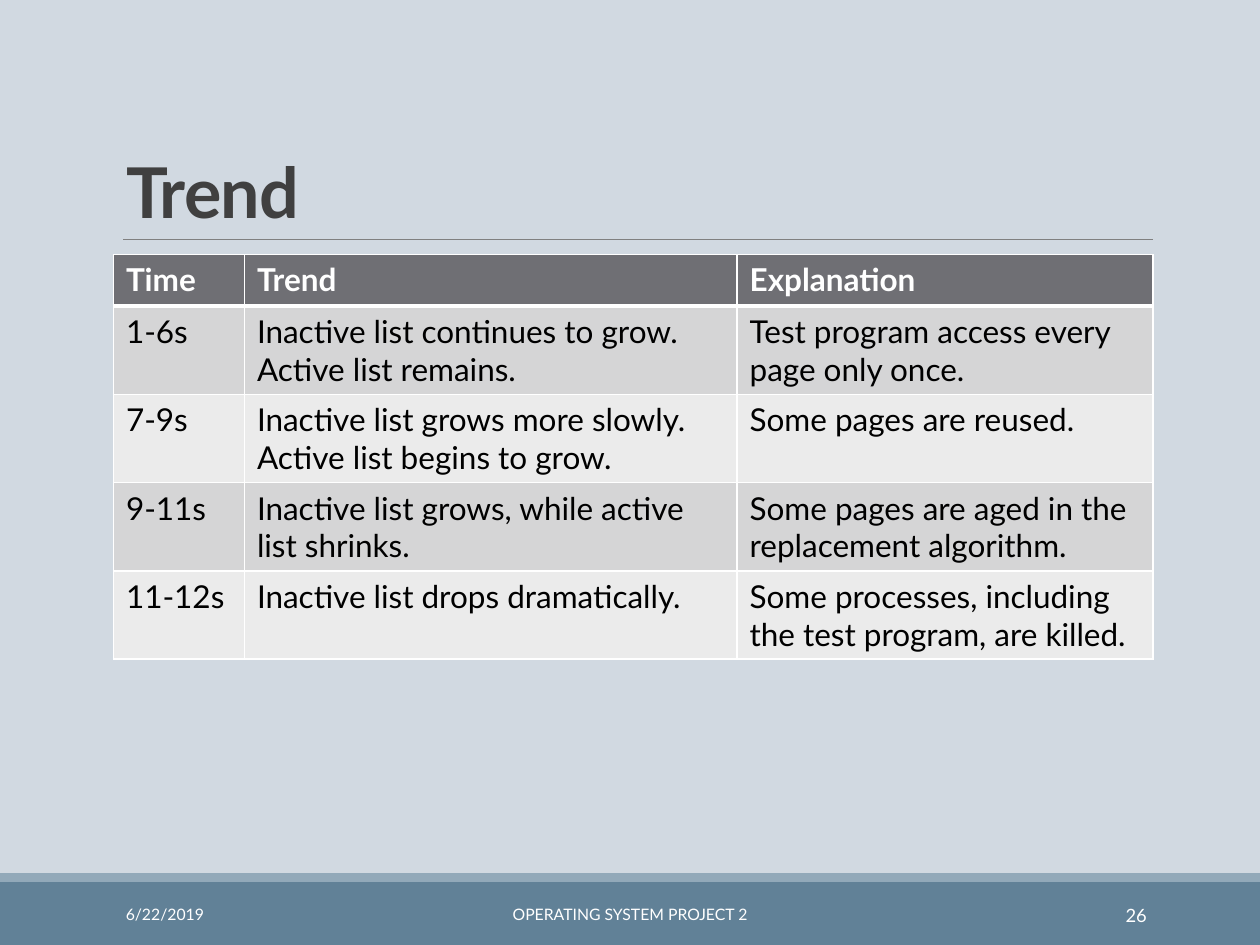
from dataclasses import dataclass

from lxml import etree
from pptx import Presentation
from pptx.dml.color import RGBColor
from pptx.enum.shapes import MSO_CONNECTOR, MSO_SHAPE
from pptx.enum.text import MSO_ANCHOR, MSO_AUTO_SIZE, PP_ALIGN
from pptx.oxml.ns import qn
from pptx.util import Inches, Pt


@dataclass(frozen=True)
class Theme:
    font: str = "Lato"
    background: str = "D1D9E1"
    footer_band: str = "618197"
    footer_edge: str = "92A9B9"
    rule: str = "808080"
    title: str = "404040"
    header: str = "6F6F74"
    stripes: tuple = ("D5D5D6", "EBEBEB")
    light: str = "FFFFFF"
    dark: str = "000000"
    title_size: float = 40
    table_size: float = 18
    footer_size: float = 9
    number_size: float = 10.5


THEME = Theme()
COLUMN_WIDTHS = (1.04, 3.91, 3.3)
ROW_HEIGHTS = (0.41, 0.7, 0.7, 0.7, 0.7)
ROWS = (
    ("Time", "Trend", "Explanation"),
    ("1-6s", "Inactive list continues to grow.\nActive list remains.",
     "Test program access every page only once."),
    ("7-9s", "Inactive list grows more slowly.\nActive list begins to grow.",
     "Some pages are reused."),
    ("9-11s", "Inactive list grows, while active list shrinks.",
     "Some pages are aged in the replacement algorithm."),
    ("11-12s", "Inactive list drops dramatically.",
     "Some processes, including the test program, are killed."),
)
FOOTERS = (
    ("6/22/2019", 0.9, 2.03, PP_ALIGN.LEFT, THEME.footer_size),
    ("OPERATING SYSTEM PROJECT 2", 3.02, 3.96, PP_ALIGN.CENTER, THEME.footer_size),
    ("26", 8.12, 1.08, PP_ALIGN.RIGHT, THEME.number_size),
)


def rgb(color):
    return RGBColor.from_string(color)


def write_text(frame, text, size, color, bold=False, align=PP_ALIGN.LEFT):
    frame.text = text
    for paragraph in frame.paragraphs:
        paragraph.alignment = align
        for run in paragraph.runs:
            run.font.name = THEME.font
            run.font.size = Pt(size)
            run.font.bold = bold
            run.font.color.rgb = rgb(color)


def add_band(slide, top, height, color):
    band = slide.shapes.add_shape(
        MSO_SHAPE.RECTANGLE, 0, Inches(top), Inches(10), Inches(height))
    band.shadow.inherit = False
    band.fill.solid()
    band.fill.fore_color.rgb = rgb(color)
    band.line.fill.background()


def add_rule(slide, left, right, top):
    rule = slide.shapes.add_connector(
        MSO_CONNECTOR.STRAIGHT, Inches(left), Inches(top), Inches(right), Inches(top))
    rule.line.color.rgb = rgb(THEME.rule)
    rule.line.width = Pt(0.5)
    etree.SubElement(rule._element.spPr, qn("a:effectLst"))


def set_title(slide, text):
    title = slide.shapes.title
    title.left, title.top = Inches(0.9), Inches(0.31)
    title.width, title.height = Inches(8.25), Inches(1.59)
    frame = title.text_frame
    frame.auto_size = MSO_AUTO_SIZE.NONE
    frame.vertical_anchor = MSO_ANCHOR.BOTTOM
    write_text(frame, text, THEME.title_size, THEME.title, bold=True)
    paragraph = frame.paragraphs[0]
    paragraph.line_spacing = 0.85
    paragraph.runs[0].font._element.set("spc", "-50")


def set_borders(cell, top, bottom):
    properties = cell._tc.get_or_add_tcPr()
    for side, width in (("L", 1), ("R", 1), ("T", top), ("B", bottom)):
        line = etree.SubElement(properties, qn(f"a:ln{side}"), w=str(Pt(width)))
        fill = etree.SubElement(line, qn("a:solidFill"))
        etree.SubElement(fill, qn("a:srgbClr"), val=THEME.light)


def add_trend_table(slide):
    table = slide.shapes.add_table(
        len(ROWS), len(COLUMN_WIDTHS), Inches(0.9), Inches(2.02),
        Inches(sum(COLUMN_WIDTHS)), Inches(sum(ROW_HEIGHTS))).table
    for column, width in zip(table.columns, COLUMN_WIDTHS):
        column.width = Inches(width)
    for index, (row, height, texts) in enumerate(zip(table.rows, ROW_HEIGHTS, ROWS)):
        row.height = Inches(height)
        header = index == 0
        fill = THEME.header if header else THEME.stripes[(index - 1) % 2]
        for cell, text in zip(row.cells, texts):
            set_borders(cell, top=3 if index == 1 else 1, bottom=3 if header else 1)
            cell.fill.solid()
            cell.fill.fore_color.rgb = rgb(fill)
            write_text(cell.text_frame, text, THEME.table_size,
                       THEME.light if header else THEME.dark, bold=header)


def add_footer(slide, text, left, width, align, size):
    box = slide.shapes.add_textbox(Inches(left), Inches(7.06), Inches(width), Inches(0.4))
    box.text_frame.word_wrap = True
    box.text_frame.vertical_anchor = MSO_ANCHOR.MIDDLE
    write_text(box.text_frame, text, size, THEME.light, align=align)


def main():
    presentation = Presentation()
    presentation.slide_width, presentation.slide_height = Inches(10), Inches(7.5)
    slide = presentation.slides.add_slide(presentation.slide_layouts[5])
    slide.background.fill.solid()
    slide.background.fill.fore_color.rgb = rgb(THEME.background)
    add_band(slide, 7, 0.5, THEME.footer_band)
    add_band(slide, 6.93, 0.07, THEME.footer_edge)
    add_rule(slide, 0.98, 9.15, 1.9)
    set_title(slide, "Trend")
    add_trend_table(slide)
    for footer in FOOTERS:
        add_footer(slide, *footer)
    presentation.save("out.pptx")


main()
